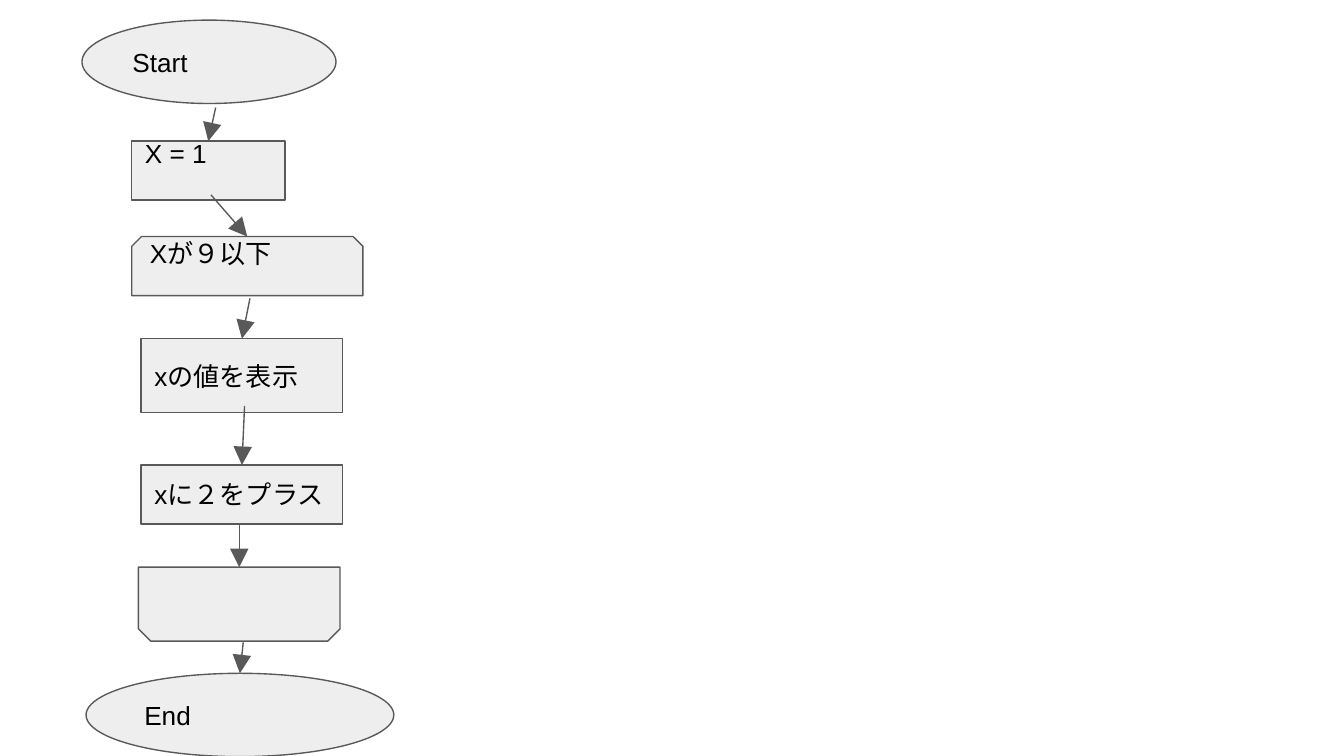
from itertools import pairwise

from lxml.etree import SubElement
from pptx import Presentation
from pptx.dml.color import RGBColor
from pptx.enum.shapes import MSO_CONNECTOR, MSO_SHAPE
from pptx.enum.text import MSO_ANCHOR, PP_ALIGN
from pptx.oxml.ns import qn
from pptx.util import Inches, Pt

FILL = RGBColor(0xEE, 0xEE, 0xEE)
OUTLINE = RGBColor(0x59, 0x59, 0x59)
TEXT = RGBColor(0x00, 0x00, 0x00)

OVAL = MSO_SHAPE.OVAL
BOX = MSO_SHAPE.RECTANGLE
LOOP = MSO_SHAPE.SNIP_2_SAME_RECTANGLE
MIDDLE, TOP = MSO_ANCHOR.MIDDLE, MSO_ANCHOR.TOP

# Kind, text, anchor, rotation, box (left, top, width, height)
STEPS = [
    (OVAL, "Start", MIDDLE, 0, (0.61, 0.15, 1.89, 0.62)),
    (BOX, "X = 1", TOP, 0, (0.98, 1.05, 1.14, 0.44)),
    (LOOP, "Xが９以下", TOP, 0, (0.98, 1.76, 1.72, 0.44)),
    (BOX, "xの値を表示", MIDDLE, 0, (1.05, 2.52, 1.5, 0.55)),
    (BOX, "xに２をプラス", MIDDLE, 0, (1.05, 3.46, 1.5, 0.44)),
    (LOOP, "", MIDDLE, 180, (1.03, 4.22, 1.5, 0.55)),
    (OVAL, "End", MIDDLE, 0, (0.64, 5.01, 2.29, 0.62)),
]

# Where each arrow leaves its step, measured from the step's bottom centre
ARROW_OFFSETS = [(0.05, 0.03), (0.02, -0.04), (0.02, 0.02),
                 (0.02, -0.05), (-0.02, 0.01), (0.03, 0.01)]


def add_step(slide, kind, text, anchor, rotation, box):
    """Place one flowchart step in its box."""
    shape = slide.shapes.add_shape(kind, *map(Inches, box))
    shape.shadow.inherit = False
    shape.rotation = rotation
    shape.fill.solid()
    shape.fill.fore_color.rgb = FILL
    shape.line.color.rgb = OUTLINE
    shape.line.width = Pt(0.75)
    if not text:
        return

    frame = shape.text_frame
    frame.word_wrap = True
    frame.vertical_anchor = anchor
    frame.margin_left = frame.margin_right = frame.margin_bottom = Inches(0.1)
    frame.margin_top = Inches(-0.03 if anchor == TOP else 0.1)
    paragraph = frame.paragraphs[0]
    paragraph.text = text
    paragraph.alignment = PP_ALIGN.LEFT
    paragraph.font.name = "Arial"
    paragraph.font.size = Pt(14)
    paragraph.font.color.rgb = TEXT


def add_arrow(slide, source, target, offset):
    """Join a source box to the top centre of a target box."""
    left, top, width, height = source
    start = (left + width / 2 + offset[0], top + height + offset[1])
    end = (target[0] + target[2] / 2, target[1])
    connector = slide.shapes.add_connector(
        MSO_CONNECTOR.STRAIGHT, *map(Inches, start + end))
    connector.line.color.rgb = OUTLINE
    connector.line.width = Pt(0.75)
    # Large arrowhead and no shadow
    properties = connector._element.spPr
    SubElement(properties.find(qn("a:ln")), qn("a:tailEnd"),
               type="triangle", w="lg", len="lg")
    SubElement(properties, qn("a:effectLst"))


def add_flowchart(slide):
    """Draw the steps, then the arrows between neighbours."""
    for step in STEPS:
        add_step(slide, *step)
    boxes = [step[-1] for step in STEPS]
    for (source, target), offset in zip(pairwise(boxes), ARROW_OFFSETS):
        add_arrow(slide, source, target, offset)


def main():
    presentation = Presentation()
    # Widescreen, 16:9
    presentation.slide_width = Inches(10)
    presentation.slide_height = Inches(10) * 9 // 16
    slide = presentation.slides.add_slide(presentation.slide_layouts[6])
    add_flowchart(slide)
    presentation.save("out.pptx")


if __name__ == "__main__":
    main()
